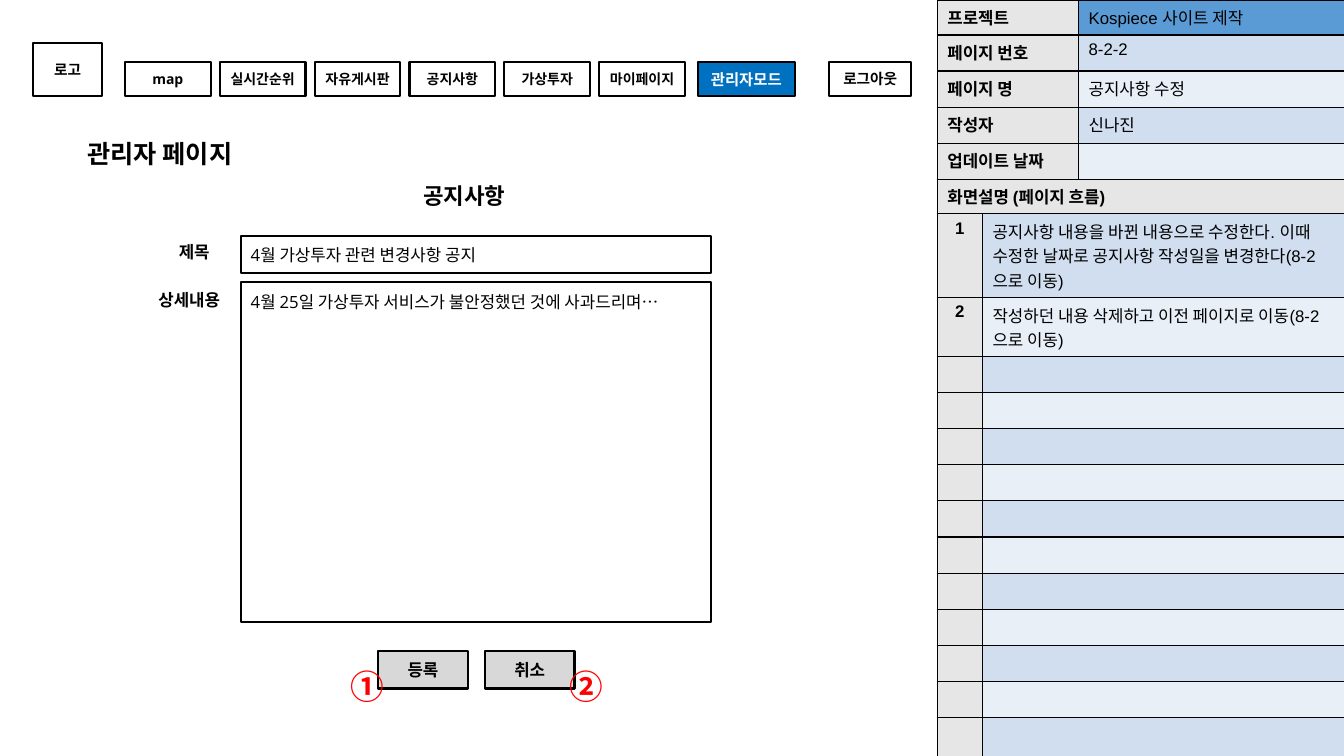
import pptx
import pptx.dml.color
import pptx.enum.shapes
import pptx.enum.text
import pptx.oxml
import pptx.oxml.ns
import pptx.util

Cm, Pt = pptx.util.Cm, pptx.util.Pt
ALIGN = pptx.enum.text.PP_ALIGN
ANCHOR = pptx.enum.text.MSO_ANCHOR
NS = pptx.oxml.ns.nsdecls("a")

# Content; lengths in cm, text sizes in points
PROJECT_INFO = [
    ("프로젝트", "Kospiece 사이트 제작"),
    ("페이지 번호", "8-2-2"),
    ("페이지 명", "공지사항 수정"),
    ("작성자", "신나진"),
    ("업데이트 날짜", ""),
]
FLOW_HEADING = "화면설명 (페이지 흐름)"
FLOW_NOTES = [
    "공지사항 내용을 바뀐 내용으로 수정한다. 이때 수정한 날짜로 공지사항 작성일을 변경한다(8-2으로 이동)",
    "작성하던 내용 삭제하고 이전 페이지로 이동(8-2으로 이동)",
]
EMPTY_NOTES = 11
MENU = ["map", "실시간순위", "자유게시판", "공지사항", "가상투자", "마이페이지"]
BUTTONS = ["등록", "취소"]
# text, left, top, width, height, size, fill, colour
HEADER_BOXES = [
    ("로고", 0.84, 1.09, 1.73, 1.32, 10.5, None, "000000"),
    ("관리자모드", 17.58, 1.57, 2.46, 0.84, 11, "0070C0", "FFFFFF"),
    ("로그아웃", 20.9, 1.57, 2.06, 0.84, 10.5, None, "000000"),
]
PAGE_TITLE = ("관리자 페이지", 1.73, 3.4, 4.6, 0.94)
# text, left, top, width, height, size
LABELS = [
    ("공지사항", 9.4, 4.47, 4.6, 0.94, 16),
    ("제목", 3.84, 5.87, 2.11, 0.94, 12),
    ("상세내용", 3.45, 7.09, 2.64, 0.94, 12),
]
# text, top, height, anchor
FIELDS = [
    ("4월 가상투자 관련 변경사항 공지", 5.94, 0.94, ANCHOR.MIDDLE),
    ("4월 25일 가상투자 서비스가 불안정했던 것에 사과드리며…", 7.11, 8.56, ANCHOR.TOP),
]
MARKERS = [("①", 8.59), ("②", 14.1)]

GREY = "E7E6E6"
BANDS = ["D0DEEF", "E9EFF7"]
TABLE_LEFT = 23.62

deck = pptx.Presentation()
deck.slide_width, deck.slide_height = Cm(33.87), Cm(19.05)
slide = deck.slides.add_slide(deck.slide_layouts[5])


def colour(value):
    return pptx.dml.color.RGBColor.from_string(value)


def write(frame, text, size, bold=False, ink="000000", face="Open Sans", align=ALIGN.LEFT):
    frame.text = text
    paragraph = frame.paragraphs[0]
    paragraph.alignment = align
    for run in paragraph.runs:
        font = run.font
        font.size, font.bold, font.name = Pt(size), bold, face
        font.color.rgb = colour(ink)
        font._element.find(pptx.oxml.ns.qn("a:latin")).addnext(
            pptx.oxml.parse_xml(f'<a:ea {NS} typeface="Noto Sans CJK KR"/>'))
    if not text:
        paragraph._p.append(pptx.oxml.parse_xml(f'<a:endParaRPr {NS} sz="{size * 100}"/>'))


def set_frame(frame, side=0.25, edge=0.25, anchor=ANCHOR.MIDDLE):
    frame.word_wrap = True
    frame.auto_size = pptx.enum.text.MSO_AUTO_SIZE.NONE
    frame.vertical_anchor = anchor
    frame.margin_left = frame.margin_right = Cm(side)
    frame.margin_top = frame.margin_bottom = Cm(edge)


def add_box(text, left, top, width, height, size, fill=None, ink="000000",
            bold=True, side=0.0, align=ALIGN.CENTER, anchor=ANCHOR.MIDDLE):
    box = slide.shapes.add_shape(pptx.enum.shapes.MSO_SHAPE.RECTANGLE,
                                 Cm(left), Cm(top), Cm(width), Cm(height))
    box.shadow.inherit = False
    if fill:
        box.fill.solid()
        box.fill.fore_color.rgb = colour(fill)
    else:
        box.fill.background()
    box.line.color.rgb = colour("000000")
    box.line.width = Pt(1.5)
    set_frame(box.text_frame, side, anchor=anchor)
    write(box.text_frame, text, size, bold, ink, align=align)


def add_label(text, left, top, width, height):
    frame = slide.shapes.add_textbox(Cm(left), Cm(top), Cm(width), Cm(height)).text_frame
    set_frame(frame)
    return frame


def add_grid(top, widths, heights):
    grid = slide.shapes.add_table(len(heights), len(widths), Cm(TABLE_LEFT), Cm(top),
                                  Cm(sum(widths)), Cm(sum(heights))).table
    grid.first_row = grid.horz_banding = False
    for column, width in zip(grid.columns, widths):
        column.width = Cm(width)
    for row, height in zip(grid.rows, heights):
        row.height = Cm(height)
    return grid


def fill_cell(cell, text, fill, bold=False, align=ALIGN.LEFT):
    write(cell.text_frame, text, 12, bold, face="Arial", align=align)
    properties = cell._tc.get_or_add_tcPr()
    for side in ("lnL", "lnR", "lnT", "lnB"):
        properties.append(pptx.oxml.parse_xml(
            f'<a:{side} {NS} w="12700"><a:solidFill><a:srgbClr val="000000"/>'
            f'</a:solidFill></a:{side}>'))
    cell.fill.solid()
    cell.fill.fore_color.rgb = colour(fill)


# Project table
info_heights = [0.88] + [0.91] * 4
info = add_grid(0, [3.56, 6.7], info_heights)
for i, (name, value) in enumerate(PROJECT_INFO):
    fill_cell(info.cell(i, 0), name, GREY, bold=True)
    fill_cell(info.cell(i, 1), value, BANDS[(i - 1) % 2] if i else "5B9BD5")

# Page flow table
flow = add_grid(sum(info_heights), [1.14, 9.12],
                [0.86, 2.11, 1.47] + [0.91] * (EMPTY_NOTES - 1) + [0.99])
flow.cell(0, 0).merge(flow.cell(0, 1))
fill_cell(flow.cell(0, 0), FLOW_HEADING, GREY, bold=True)
fill_cell(flow.cell(0, 1), "", GREY)
for i, note in enumerate(FLOW_NOTES + [""] * EMPTY_NOTES):
    number = str(i + 1) if note else ""
    fill_cell(flow.cell(i + 1, 0), number, GREY, bold=True, align=ALIGN.CENTER)
    fill_cell(flow.cell(i + 1, 1), note, BANDS[i % 2])

# Header and menu
for header_box in HEADER_BOXES:
    add_box(*header_box)
for i, item in enumerate(MENU):
    add_box(item, 3.15 + 2.39 * i, 1.57, 2.16, 0.84, 10)

# Page title and labels
title_text, *title_place = PAGE_TITLE
title = slide.shapes.title
title.left, title.top, title.width, title.height = map(Cm, title_place)
set_frame(title.text_frame)
write(title.text_frame, title_text, 18, bold=True, align=ALIGN.CENTER)
for text, left, top, width, height, size in LABELS:
    write(add_label(text, left, top, width, height), text, size, bold=True, align=ALIGN.CENTER)

# Form fields and buttons
for text, top, height, anchor in FIELDS:
    add_box(text, 6.07, top, 11.85, height, 12, bold=False, side=0.25,
            align=ALIGN.LEFT, anchor=anchor)
for i, button in enumerate(BUTTONS):
    add_box(button, 9.53 + 2.69 * i, 16.41, 2.26, 0.94, 12, "D8D8D8")

# Numbered markers
for mark, left in MARKERS:
    frame = add_label(mark, left, 16.64, 1.5, 1.27)
    set_frame(frame, edge=0.13, anchor=ANCHOR.TOP)
    write(frame, mark, 24, True, "FF0000", "Noto Sans CJK KR")

deck.save("out.pptx")
